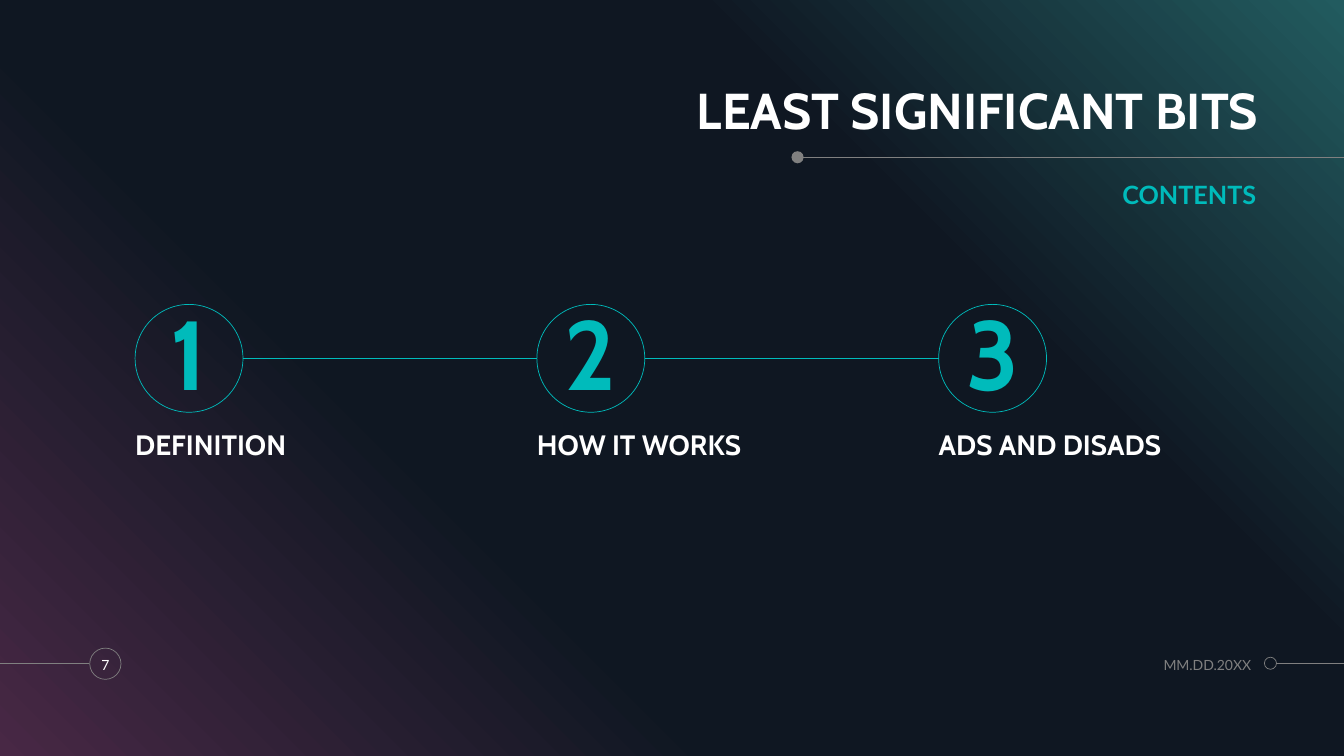
import copy
import pptx
import pptx.util
import pptx.dml.color
import pptx.enum.shapes
import pptx.enum.text
import pptx.oxml.ns
import lxml.etree

Inches, Pt = pptx.util.Inches, pptx.util.Pt
RGB = pptx.dml.color.RGBColor
SHAPE = pptx.enum.shapes.MSO_SHAPE
LINE = pptx.enum.shapes.MSO_CONNECTOR.STRAIGHT
ALIGN = pptx.enum.text.PP_ALIGN
ANCHOR = pptx.enum.text.MSO_ANCHOR
qn = pptx.oxml.ns.qn

# Content
TITLE = "LEAST SIGNIFICANT BITS"
LABEL = "CONTENTS"
STEPS = ["DEFINITION", "HOW IT WORKS", "ADS AND DISADS"]
PAGE = "7"
DATE = "MM.DD.20XX"

# Style
TEAL = RGB(0x00, 0xBB, 0xBB)
GRAY = RGB(0x80, 0x80, 0x80)
WHITE = RGB(0xFF, 0xFF, 0xFF)
PLUM = RGB(0x48, 0x28, 0x45)
NAVY = RGB(0x0F, 0x17, 0x22)
PINE = RGB(0x22, 0x5B, 0x5F)
STOPS = [(0, PLUM), (0.34, NAVY), (0.69, NAVY), (1, PINE)]
HEAD, BODY = "Cabin", "Lato"

# Layout, in inches
WIDE, HIGH = 13.33, 7.5
LEFT, STEP, SIZE, TOP = 1.34, 3.985, 1.07, 3.02

deck = pptx.Presentation()
deck.slide_width, deck.slide_height = Inches(WIDE), Inches(HIGH)
slide = deck.slides.add_slide(deck.slide_layouts[5])
shapes = slide.shapes


def write(box, text, font=HEAD, size=20, color=WHITE, bold=True,
          align=ALIGN.LEFT, anchor=ANCHOR.TOP, lead=None, before=0):
    frame = box.text_frame
    frame.word_wrap = True
    frame.auto_size = pptx.enum.text.MSO_AUTO_SIZE.NONE
    frame.margin_left = frame.margin_right = 0
    frame.margin_top = frame.margin_bottom = 0
    frame.vertical_anchor = anchor
    par = frame.paragraphs[0]
    par.alignment, par.space_before = align, Pt(before)
    if lead:
        par.line_spacing = lead
    run = par.add_run()
    run.text = text
    run.font.name, run.font.size, run.font.bold = font, Pt(size), bold
    run.font.color.rgb = color


def area(x, y, w, h):
    return shapes.add_textbox(Inches(x), Inches(y), Inches(w), Inches(h))


def ring(x, y, size, color, solid=False):
    dot = shapes.add_shape(SHAPE.OVAL, Inches(x), Inches(y),
                           Inches(size), Inches(size))
    dot.shadow.inherit = False
    if solid:
        dot.fill.solid()
        dot.fill.fore_color.rgb = color
        dot.line.fill.background()
    else:
        dot.fill.background()
        dot.line.color.rgb, dot.line.width = color, Pt(0.5)
    return dot


def rule(x1, x2, y, color):
    line = shapes.add_connector(LINE, Inches(x1), Inches(y),
                                Inches(x2), Inches(y))
    line.line.color.rgb, line.line.width = color, Pt(0.5)
    lxml.etree.SubElement(line._element.spPr, qn("a:effectLst"))


# Backdrop with a diagonal gradient
back = shapes.add_shape(SHAPE.RECTANGLE, 0, 0, Inches(WIDE), Inches(HIGH))
back.shadow.inherit = False
back.line.fill.background()
back.fill.gradient()
back.fill.gradient_angle = 45
track = back._element.spPr.find(".//" + qn("a:gsLst"))
while len(track) < len(STOPS):
    track.append(copy.deepcopy(track[0]))
for stop, (place, color) in zip(back.fill.gradient_stops, STOPS):
    stop.position, stop.color.rgb = place, color

# Title, its rule and the label
title = shapes.title
title.left, title.top = Inches(5.58), Inches(0.77)
title.width, title.height = Inches(6.9), Inches(0.62)
write(title, TITLE, size=36, align=ALIGN.RIGHT, anchor=ANCHOR.BOTTOM, lead=0.9)
shapes._spTree.append(title._element)
rule(7.94, WIDE, 1.56, GRAY)
ring(7.85, 1.5, 0.12, GRAY, solid=True)
write(area(5.58, 1.78, 6.88, 0.62), LABEL, font=BODY, size=18, color=TEAL,
      align=ALIGN.RIGHT, before=10)

# Numbered steps, joined by rules
for i, name in enumerate(STEPS):
    x = LEFT + i * STEP
    if i:
        rule(x - STEP + SIZE, x, 3.56, TEAL)
    write(ring(x, TOP, SIZE, TEAL), str(i + 1), size=70, color=TEAL,
          align=ALIGN.CENTER, anchor=ANCHOR.MIDDLE, lead=0.9, before=10)
    write(area(x, 4.22, 3.22, 0.36), name, anchor=ANCHOR.BOTTOM,
          lead=0.9, before=6)

# Footer
rule(0, 0.88, 6.58, GRAY)
ring(0.89, 6.43, 0.31, GRAY)
rule(12.66, WIDE, 6.58, GRAY)
ring(12.54, 6.52, 0.12, GRAY)
write(area(0.85, 6.43, 0.39, 0.33), PAGE, font=BODY, size=10, bold=False,
      align=ALIGN.CENTER, anchor=ANCHOR.MIDDLE)
write(area(10.95, 6.43, 1.46, 0.33), DATE, font=BODY, size=10, color=GRAY,
      bold=False, align=ALIGN.RIGHT, anchor=ANCHOR.MIDDLE)

deck.save("out.pptx")
